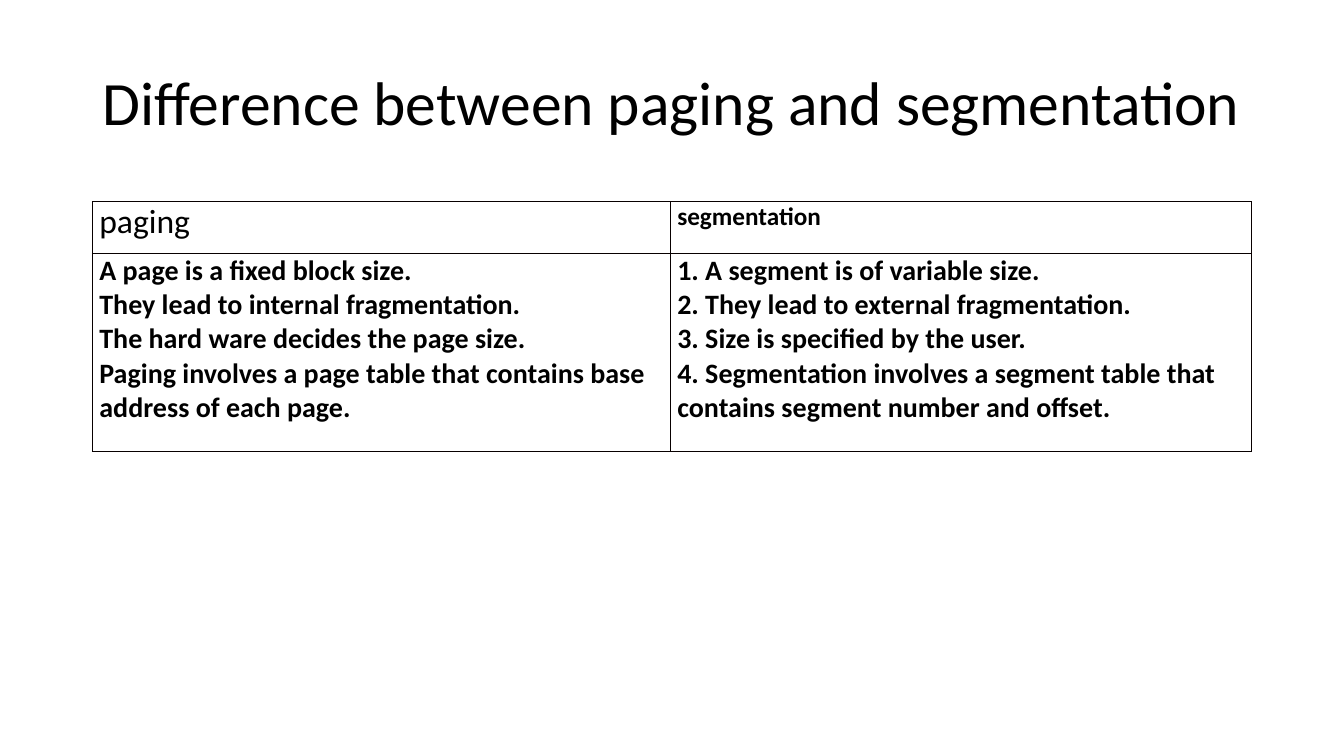
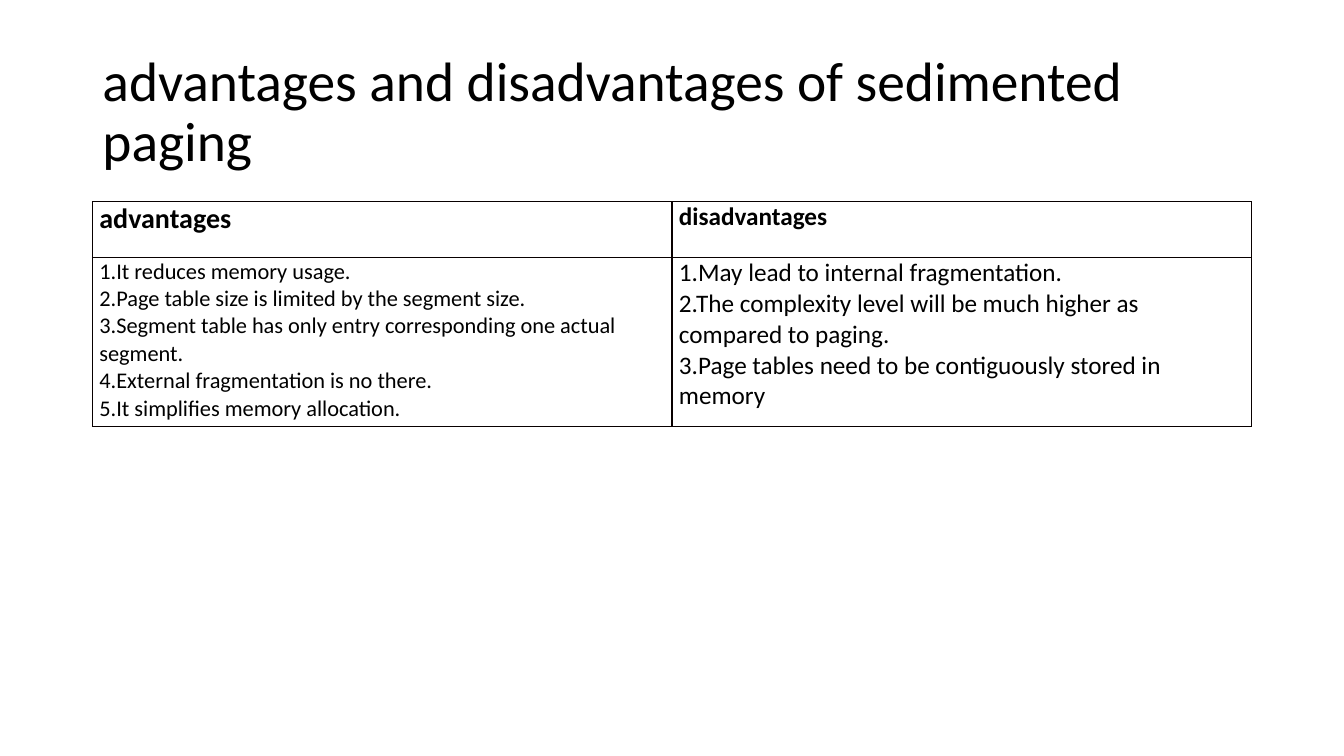
from dataclasses import dataclass

from lxml.etree import SubElement as Sub
from pptx import Presentation
from pptx.dml.color import RGBColor as RGB
from pptx.enum.text import MSO_ANCHOR as Anchor, MSO_AUTO_SIZE as Auto, PP_ALIGN as Align
from pptx.oxml.ns import qn
from pptx.util import Pt


@dataclass(frozen=True)
class Theme:
    font: str = "Calibri"
    ink: RGB = RGB(0x00, 0x00, 0x00)
    edge: str = "080000"
    rule: float = 1
    large: float = 24
    big: float = 20
    mid: float = 18
    small: float = 16


theme = Theme()
LEFT, WIDTH = 66, 828
TOP, GRID_TOP = 28.8, 144


def write(frame, lines, size, bold=False):
    """Fill a text frame with one left-aligned paragraph per line."""
    for i, line in enumerate(lines):
        para = frame.add_paragraph() if i else frame.paragraphs[0]
        para.alignment = Align.LEFT
        run = para.add_run()
        run.text = line
        font = run.font
        font.name, font.size, font.bold = theme.font, Pt(size), bold
        font.color.rgb = theme.ink


def frame_cell(cell):
    """Give a cell thin borders on all sides, tight margins and no fill."""
    props = cell._tc.get_or_add_tcPr()
    for side in ("lnL", "lnR", "lnT", "lnB"):
        line = Sub(props, qn(f"a:{side}"), w=str(Pt(theme.rule)))
        fill = Sub(line, qn("a:solidFill"))
        Sub(fill, qn("a:srgbClr"), val=theme.edge)
    cell.fill.background()
    cell.margin_left = cell.margin_right = Pt(5)
    cell.margin_top = cell.margin_bottom = 0
    cell.vertical_anchor = Anchor.TOP


# Each cell: lines, type size, bold
pages = [
    dict(
        title="Difference between paging and segmentation",
        size=44, height=92.8, cols=(412.8, 415.2), rows=(37.2, 141.2),
        cells=[
            [
                (["paging"], theme.large, False),
                (["segmentation"], theme.mid, True),
            ],
            [
                ([
                    "A page is a fixed block size.",
                    "They lead to internal fragmentation.",
                    "The hard ware decides the page size.",
                    "Paging involves a page table that contains base address of each page.",
                ], theme.big, True),
                ([
                    "1. A segment is of variable size.",
                    "2. They lead to external fragmentation.",
                    "3. Size is specified by the user.",
                    "4. Segmentation involves a segment table that contains segment number and offset.",
                ], theme.big, True),
            ],
        ],
    ),
    dict(
        title="advantages and disadvantages of sedimented paging",
        size=39.6, height=104.4, cols=(414, 414), rows=(40.2, 120.2),
        cells=[
            [
                (["advantages"], theme.big, True),
                (["disadvantages"], theme.mid, True),
            ],
            [
                ([
                    "1.It reduces memory usage.",
                    "2.Page table size is limited by the segment size.",
                    "3.Segment table has only entry corresponding one actual segment.",
                    "4.External fragmentation is no there.",
                    "5.It simplifies memory allocation.",
                ], theme.small, False),
                ([
                    "1.May lead to internal fragmentation.",
                    "2.The complexity level will be much higher as compared to paging.",
                    "3.Page tables need to be contiguously stored in memory",
                ], theme.mid, False),
            ],
        ],
    ),
]

deck = Presentation()
deck.slide_width, deck.slide_height = Pt(960), Pt(540)
layout = deck.slide_layouts.get_by_name("Title Only")

for page in pages:
    slide = deck.slides.add_slide(layout)

    title = slide.shapes.title
    title.left, title.top = Pt(LEFT), Pt(TOP)
    title.width, title.height = Pt(WIDTH), Pt(page["height"])
    frame = title.text_frame
    frame.word_wrap, frame.auto_size = True, Auto.NONE
    frame.vertical_anchor = Anchor.MIDDLE
    write(frame, [page["title"]], page["size"])
    frame.paragraphs[0].line_spacing = 0.9

    cols, rows = page["cols"], page["rows"]
    table = slide.shapes.add_table(
        len(rows), len(cols), Pt(LEFT), Pt(GRID_TOP), Pt(sum(cols)), Pt(sum(rows))
    ).table
    table.first_row = table.horz_banding = False
    for col, width in zip(table.columns, cols):
        col.width = Pt(width)
    for row, height, cells in zip(table.rows, rows, page["cells"]):
        row.height = Pt(height)
        for cell, (lines, size, bold) in zip(row.cells, cells):
            frame_cell(cell)
            write(cell.text_frame, lines, size, bold)

deck.save("out.pptx")
